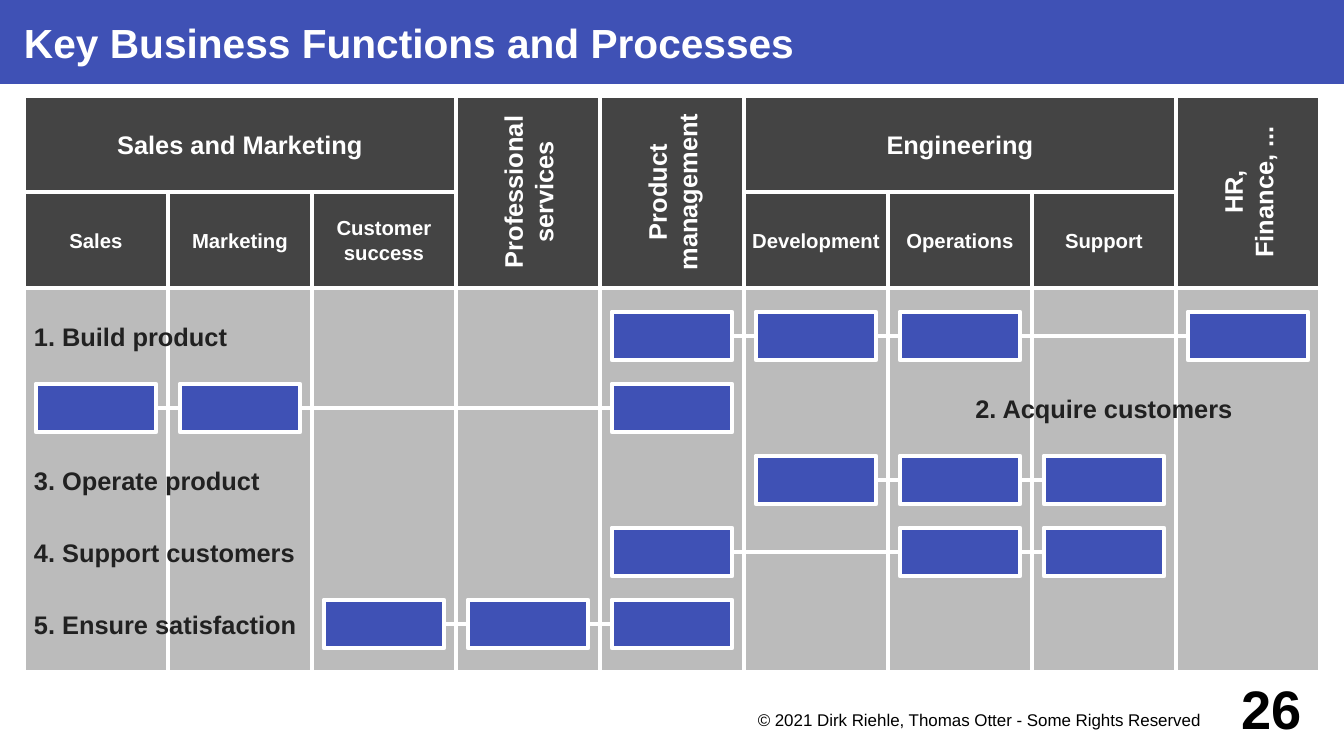
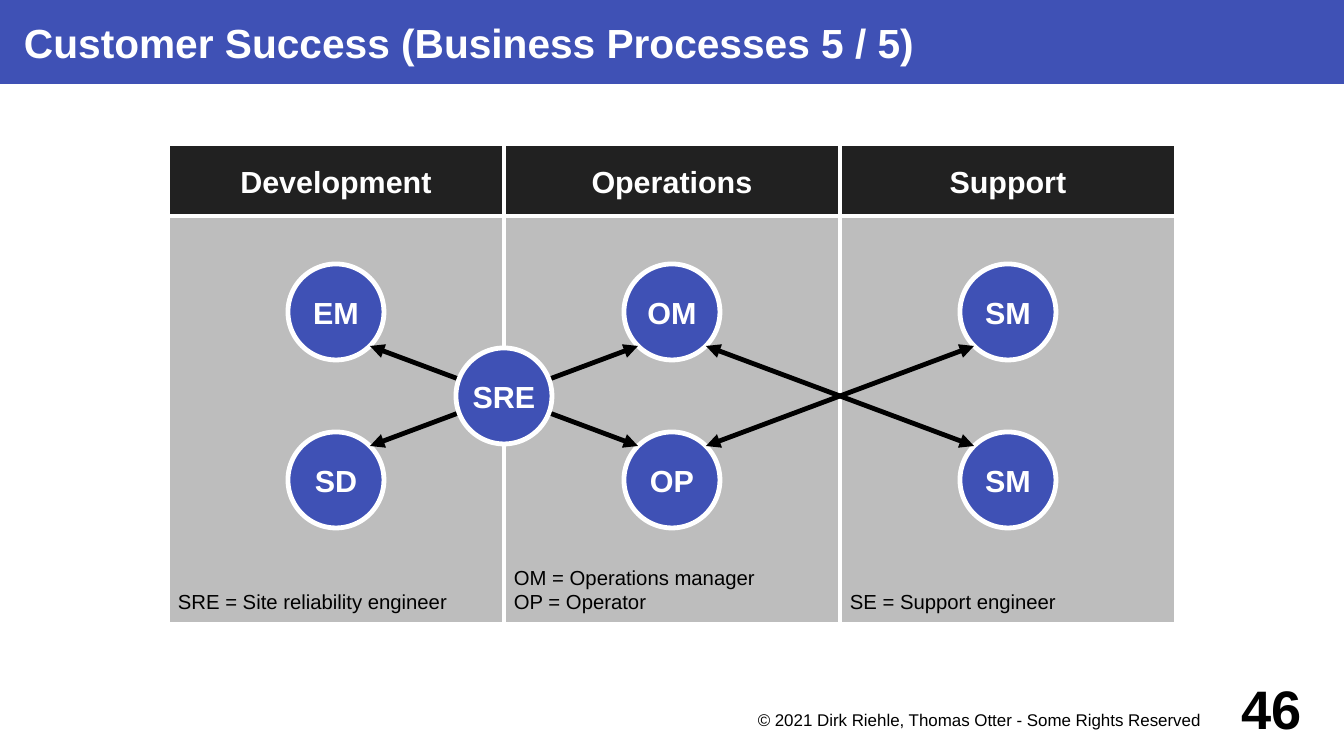
from lxml.etree import SubElement
from pptx import Presentation
from pptx.dml.color import RGBColor
from pptx.enum.shapes import MSO_CONNECTOR, MSO_SHAPE
from pptx.enum.text import MSO_ANCHOR, MSO_AUTO_SIZE, PP_ALIGN
from pptx.oxml.ns import qn
from pptx.util import Emu, Pt

WIDTH, HEIGHT = 1344, 756
FONT = "Arial"
BLUE, WHITE, BLACK = "3F51B5", "FFFFFF", "000000"
DARK, INK = "444444", "212121"
PALE, GREY = "BBBBBB", "BDBDBD"
STROKE = 2.83
LEFT, MID = PP_ALIGN.LEFT, PP_ALIGN.CENTER
TIGHT = (10, 10, 10, 10)
ROOMY = (15, 9, 15, 9)


def px(count):
    return Emu(count * 7500)


def hue(code):
    return RGBColor.from_string(code)


def write(shape, text, size=15, color=WHITE, bold=True, align=MID,
          anchor=MSO_ANCHOR.MIDDLE, pad=TIGHT, wrap=True):
    """Fill a shape with text, one paragraph per line; pad is left, top, right, bottom."""
    frame = shape.text_frame
    frame.auto_size = MSO_AUTO_SIZE.NONE
    frame.word_wrap = wrap
    frame.vertical_anchor = anchor
    (frame.margin_left, frame.margin_top,
     frame.margin_right, frame.margin_bottom) = map(px, pad)
    frame.text = text
    for para in frame.paragraphs:
        para.alignment = align
        font = para.runs[0].font
        font.name, font.size, font.bold = FONT, Pt(size), bold
        font.color.rgb = hue(color)


def block(slide, area, fill, kind=MSO_SHAPE.RECTANGLE):
    """Add a filled shape with the white outline used throughout."""
    shape = slide.shapes.add_shape(kind, *map(px, area))
    shape.shadow.inherit = False
    shape.fill.solid()
    shape.fill.fore_color.rgb = hue(fill)
    shape.line.color.rgb = hue(WHITE)
    shape.line.width = Pt(STROKE)
    return shape


def label(slide, area, text, **style):
    write(slide.shapes.add_textbox(*map(px, area)), text, **style)


def link(slide, start, end, color, tips):
    """Draw a straight line with arrowheads at the named ends."""
    line = slide.shapes.add_connector(
        MSO_CONNECTOR.STRAIGHT, *map(px, start + end))
    line.line.color.rgb = hue(color)
    line.line.width = Pt(STROKE)
    stroke = line.line._get_or_add_ln()
    for tip in tips:
        SubElement(stroke, qn("a:" + tip), type="triangle")
    SubElement(line._element.spPr, qn("a:effectLst"))


def page(deck, title, number):
    """Add a slide with the shared title band, copyright line and number."""
    slide = deck.slides.add_slide(deck.slide_layouts[5])
    band = slide.shapes.title
    band.left, band.top, band.width, band.height = map(px, (0, 0, WIDTH, 84))
    band.fill.solid()
    band.fill.fore_color.rgb = hue(BLUE)
    write(band, title, size=24, align=LEFT, pad=(24, 0, 0, 0))
    label(slide, (720, 708, 518, 36),
          "© 2021 Dirk Riehle, Thomas Otter - Some Rights Reserved",
          size=10, color=BLACK, bold=False, anchor=MSO_ANCHOR.TOP,
          pad=(0, 2, 0, 0))
    label(slide, (1224, 672, 96, 72), str(number), size=32, color=BLACK,
          pad=(0, 0, 0, 0))
    return slide


def matrix(slide):
    """Draw business functions as columns and processes as rows."""
    col, head, top = 144, 96, 288

    def left(index):
        return 24 + col * index

    def cap(area, text, size):
        shape = block(slide, area, DARK)
        write(shape, text, size=size, pad=ROOMY, wrap=False)
        return shape

    for index in range(9):
        block(slide, (left(index), top, col, 384), PALE)

    teams = {
        0: ("Sales and Marketing", ("Sales", "Marketing", "Customer\nsuccess")),
        5: ("Engineering", ("Development", "Operations", "Support")),
    }
    for first, (group, names) in teams.items():
        cap((left(first), head, 3 * col, head), group, 15)
        for index, name in enumerate(names, first):
            cap((left(index), 2 * head, col, head), name, 12)

    tall = {3: "Professional\nservices", 4: "Product\nmanagement",
            8: "HR,\nFinance, ..."}
    for index, name in tall.items():
        shift = (2 * head - col) // 2
        area = (left(index) - shift, head + shift, 2 * head, col)
        cap(area, name, 15).rotation = 270

    steps = [
        ("1. Build product", 0, LEFT, (4, 5, 6, 8)),
        ("2. Acquire customers", 6, MID, (0, 1, 4)),
        ("3. Operate product", 0, LEFT, (5, 6, 7)),
        ("4. Support customers", 0, LEFT, (4, 6, 7)),
        ("5. Ensure satisfaction", 0, LEFT, (2, 3, 4)),
    ]
    for row, (name, start, align, stops) in enumerate(steps):
        y = top + 24 + 72 * row
        ends = [(left(stop) + col // 2, y + 24)
                for stop in (stops[0], stops[-1])]
        link(slide, *ends, WHITE, ["tailEnd"])
        for stop in stops:
            block(slide, (left(stop) + 12, y, col - 24, 48), BLUE)
        label(slide, (left(start), y, 3 * col, 48), name, color=INK,
              align=align)


def roles(slide):
    """Draw three departments, their roles and who works with whom."""
    col, size, high, low, reach = 336, 96, 312, 480, 34
    parts = [
        ("Development", "SRE = Site reliability engineer", "EM", "SD"),
        ("Operations", "OM = Operations manager\nOP = Operator", "OM", "OP"),
        ("Support", "SE = Support engineer", "SM", "SM"),
    ]

    def disc(x, y, text):
        area = (x - size // 2, y - size // 2, size, size)
        write(block(slide, area, BLUE, MSO_SHAPE.OVAL), text, size=18,
              wrap=False)

    mids = []
    for index, (name, note, upper, lower) in enumerate(parts):
        x = 168 + col * index
        write(block(slide, (x, 216, col, 408), GREY), note, size=12,
              color=BLACK, bold=False, align=LEFT, anchor=MSO_ANCHOR.BOTTOM)
        write(block(slide, (x, 144, col, 72), INK), name, size=18,
              pad=(10, 12, 10, 10), wrap=False)
        mids.append(x + col // 2)
        disc(mids[-1], high, upper)
        disc(mids[-1], low, lower)

    for near, far in zip(mids, mids[1:]):
        for start, end in ((high + reach, low - reach),
                           (low - reach, high + reach)):
            link(slide, (near + reach, start), (far - reach, end), BLACK,
                 ["headEnd", "tailEnd"])
    disc((mids[0] + mids[1]) // 2, (high + low) // 2, "SRE")


def main():
    deck = Presentation()
    deck.slide_width, deck.slide_height = px(WIDTH), px(HEIGHT)
    matrix(page(deck, "Key Business Functions and Processes", 26))
    roles(page(deck, "Customer Success (Business Processes 5 / 5)", 46))
    deck.save("out.pptx")


if __name__ == "__main__":
    main()
